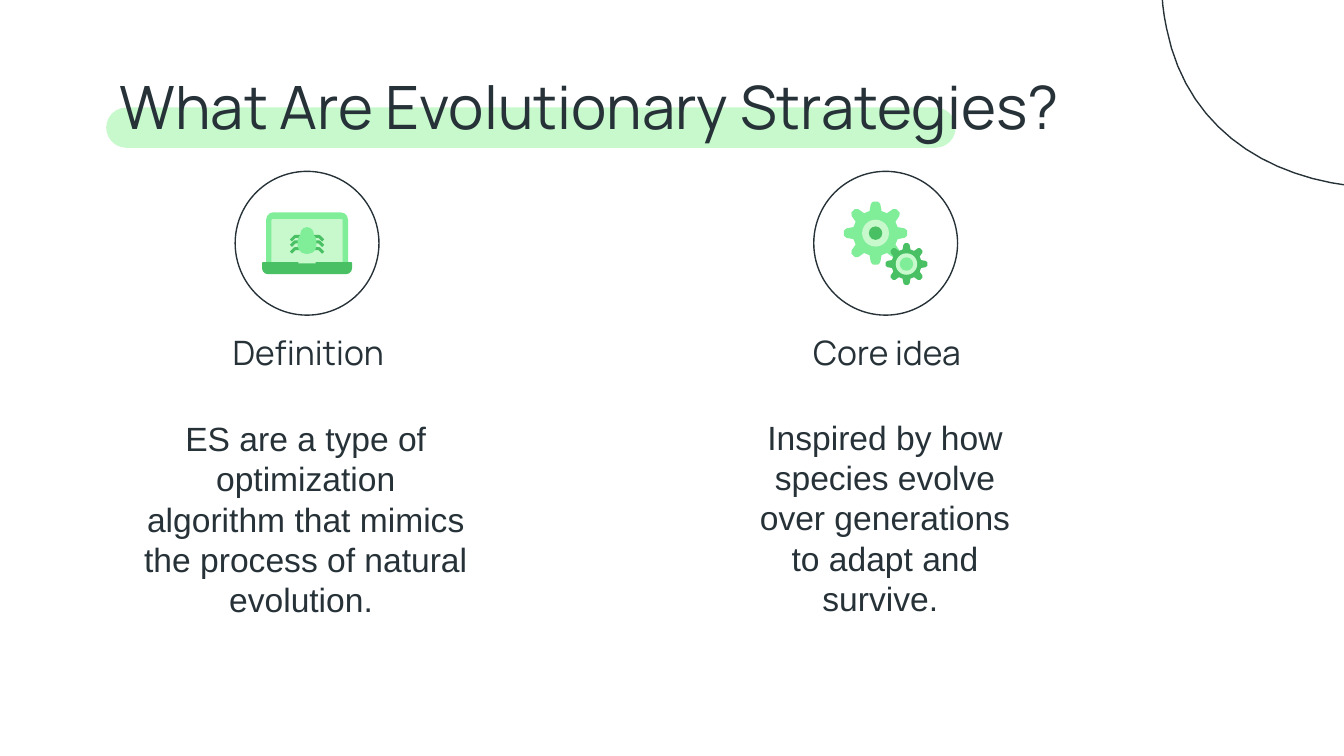
from dataclasses import dataclass
from math import cos, pi, sin

from lxml.etree import SubElement
from pptx import Presentation
from pptx.dml.color import RGBColor
from pptx.enum.shapes import MSO_SHAPE
from pptx.enum.text import MSO_ANCHOR, MSO_AUTO_SIZE, PP_ALIGN
from pptx.oxml.ns import qn
from pptx.util import Inches, Pt


@dataclass(frozen=True)
class Theme:
    ink: RGBColor = RGBColor(0x26, 0x32, 0x38)
    pale: RGBColor = RGBColor(0xC7, 0xF9, 0xCC)
    light: RGBColor = RGBColor(0x80, 0xED, 0x99)
    strong: RGBColor = RGBColor(0x48, 0xC0, 0x63)
    heading_font: str = "Manrope"
    body_font: str = "Arial"
    title_size: Pt = Pt(32)
    text_size: Pt = Pt(18)
    outline: Pt = Pt(0.75)
    leg: Pt = Pt(1.6)


THEME = Theme()
SLIDE_WIDTH = 10
SLIDE_HEIGHT = SLIDE_WIDTH * 9 / 16
BLOB_START = (12.11, -1.85)
BLOB_CURVES = [
    ((12.03, -1.85), (11.93, -1.82), (11.83, -1.77)),
    ((11.44, -1.57), (11.41, -1.13), (10.88, -1.11)),
    ((10.83, -1.1), (10.78, -1.1), (10.73, -1.1)),
    ((10.48, -1.1), (10.24, -1.13), (10.02, -1.13)),
    ((9.75, -1.13), (9.48, -1.09), (9.18, -0.93)),
    ((8.68, -0.66), (8.58, -0.26), (8.68, 0.21)),
    ((8.84, 1.02), (9.54, 1.4), (10.34, 1.4)),
    ((10.69, 1.4), (11.05, 1.33), (11.39, 1.2)),
    ((12.49, 0.78), (13, -0.2), (12.75, -1.17)),
    ((12.68, -1.46), (12.47, -1.85), (12.11, -1.85)),
]
# One gear tooth pointing up, as a share of the outer radius
TOOTH = [(-0.19, -0.7), (-0.15, -0.92), (-0.08, -1),
         (0.08, -1), (0.15, -0.92), (0.19, -0.7)]


def paint(shape, fill=None, line=None, width=THEME.outline):
    shape.shadow.inherit = False
    if fill is None:
        shape.fill.background()
    else:
        shape.fill.solid()
        shape.fill.fore_color.rgb = fill
    if line is None:
        shape.line.fill.background()
    else:
        shape.line.color.rgb = line
        shape.line.width = width


def add_preset(slide, kind, place, adjustments=(), **paint_options):
    shape = slide.shapes.add_shape(kind, *map(Inches, place))
    for index, value in enumerate(adjustments):
        shape.adjustments[index] = value
    paint(shape, **paint_options)
    return shape


def add_disc(slide, center_x, center_y, radius, **paint_options):
    place = (center_x - radius, center_y - radius, 2 * radius, 2 * radius)
    add_preset(slide, MSO_SHAPE.OVAL, place, **paint_options)


def add_outline(slide, points, close=True, **paint_options):
    start, *rest = [(Inches(x), Inches(y)) for x, y in points]
    builder = slide.shapes.build_freeform(*start)
    builder.add_line_segments(rest, close=close)
    paint(builder.convert_to_shape(), **paint_options)


def curve_points(start, curves, steps=16):
    """Follow a chain of cubic Bezier curves as short straight steps."""
    points = [start]
    for first, second, end in curves:
        corners = (points[-1], first, second, end)
        for step in range(1, steps + 1):
            t = step / steps
            weights = ((1 - t) ** 3, 3 * t * (1 - t) ** 2, 3 * t * t * (1 - t), t ** 3)
            points.append(tuple(
                sum(weight * corner[axis] for weight, corner in zip(weights, corners))
                for axis in (0, 1)))
    return points


def add_gear(slide, center_x, center_y, radius, ring, hub, colors, teeth=8):
    points = []
    for tooth in range(teeth):
        angle = 2 * pi * tooth / teeth
        for x, y in TOOTH:
            points.append((center_x + radius * (x * cos(angle) - y * sin(angle)),
                           center_y + radius * (x * sin(angle) + y * cos(angle))))
    wheel_color, hub_color = colors
    add_outline(slide, points, fill=wheel_color)
    add_disc(slide, center_x, center_y, ring, fill=THEME.pale)
    add_disc(slide, center_x, center_y, hub, fill=hub_color)


def add_laptop(slide):
    top_rounded = MSO_SHAPE.ROUND_2_SAME_RECTANGLE
    add_preset(slide, top_rounded, (1.98, 1.58, 0.61, 0.43), (0.13, 0), fill=THEME.light)
    add_preset(slide, top_rounded, (2.02, 1.63, 0.53, 0.38), (0.03, 0), fill=THEME.pale)
    add_bug(slide, 2.285)
    add_preset(slide, top_rounded, (1.95, 1.95, 0.67, 0.09), (0.1, 0.5), fill=THEME.strong)
    add_preset(slide, MSO_SHAPE.RECTANGLE, (2.22, 1.95, 0.13, 0.01), fill=THEME.pale)


def add_bug(slide, center_x):
    for side in (-1, 1):
        for leg_y in (1.76, 1.8, 1.85):
            bends = ((0.02, 0), (0.09, 0), (0.12, 0.03))
            points = [(center_x + side * x, leg_y + y) for x, y in bends]
            add_outline(slide, points, close=False, line=THEME.strong, width=THEME.leg)
    add_preset(slide, MSO_SHAPE.OVAL, (center_x - 0.05, 1.69, 0.1, 0.1), fill=THEME.light)
    add_preset(slide, MSO_SHAPE.ROUNDED_RECTANGLE, (center_x - 0.07, 1.73, 0.14, 0.16),
               (0.45,), fill=THEME.light)


def fill_placeholder(box, text, place, font, size, align=PP_ALIGN.LEFT,
                     anchor=MSO_ANCHOR.TOP, top_inset=0.1):
    box.left, box.top, box.width, box.height = map(Inches, place)
    frame = box.text_frame
    frame.text = text
    frame_format = {
        "word_wrap": True, "auto_size": MSO_AUTO_SIZE.NONE, "vertical_anchor": anchor,
        "margin_left": Inches(0.1), "margin_right": Inches(0.1),
        "margin_top": Inches(top_inset), "margin_bottom": Inches(0.1),
    }
    for name, value in frame_format.items():
        setattr(frame, name, value)
    para = frame.paragraphs[0]
    properties = para._p.get_or_add_pPr()
    properties.set("marL", "0")
    properties.set("indent", "0")
    SubElement(properties, qn("a:buNone"))
    para_format = {"alignment": align, "space_before": Pt(0), "line_spacing": 1.0}
    for name, value in para_format.items():
        setattr(para, name, value)
    span_font = para.runs[0].font
    for name, value in {"name": font, "size": size, "bold": False}.items():
        setattr(span_font, name, value)
    span_font.color.rgb = THEME.ink


def add_texts(slide):
    title, *boxes = slide.placeholders
    fill_placeholder(title, "What Are Evolutionary Strategies?", (0.79, 0.42, 8.43, 0.67),
                     THEME.heading_font, THEME.title_size)
    columns = [
        ("Definition", 1.63,
         "ES are a type of optimization algorithm that mimics the process of natural evolution. ",
         (0.97, 3.05, 2.61, 1.62), {"anchor": MSO_ANCHOR.MIDDLE}),
        ("Core idea", 5.95,
         "Inspired by how species evolve over generations to adapt and survive. ",
         (5.48, 2.7, 2.21, 2.3), {"top_inset": 0.4}),
    ]
    for column, (heading, left, text, place, options) in enumerate(columns):
        heading_box, text_box = boxes[2 * column:2 * column + 2]
        fill_placeholder(heading_box, heading, (left, 2.37, 2.61, 0.41),
                         THEME.heading_font, THEME.text_size)
        fill_placeholder(text_box, text, place, THEME.body_font, THEME.text_size,
                         align=PP_ALIGN.CENTER, **options)


def main():
    deck = Presentation()
    deck.slide_width, deck.slide_height = Inches(SLIDE_WIDTH), Inches(SLIDE_HEIGHT)
    comparison_layout = deck.slide_layouts[4]
    slide = deck.slides.add_slide(comparison_layout)
    add_texts(slide)

    highlight = add_preset(slide, MSO_SHAPE.ROUNDED_RECTANGLE, (0.79, 0.8, 6.32, 0.3),
                           (0.5,), fill=THEME.pale)
    slide.shapes._spTree.insert(2, highlight._element)  # behind the title
    add_outline(slide, curve_points(BLOB_START, BLOB_CURVES), line=THEME.ink)

    for center_x in (2.285, 6.59):
        add_disc(slide, center_x, 1.81, 0.535, line=THEME.ink)
    add_laptop(slide)
    add_gear(slide, 6.515, 1.735, 0.235, 0.1, 0.05, (THEME.light, THEME.strong))
    add_gear(slide, 6.745, 1.965, 0.155, 0.08, 0.05, (THEME.strong, THEME.light))

    deck.save("out.pptx")


if __name__ == "__main__":
    main()
